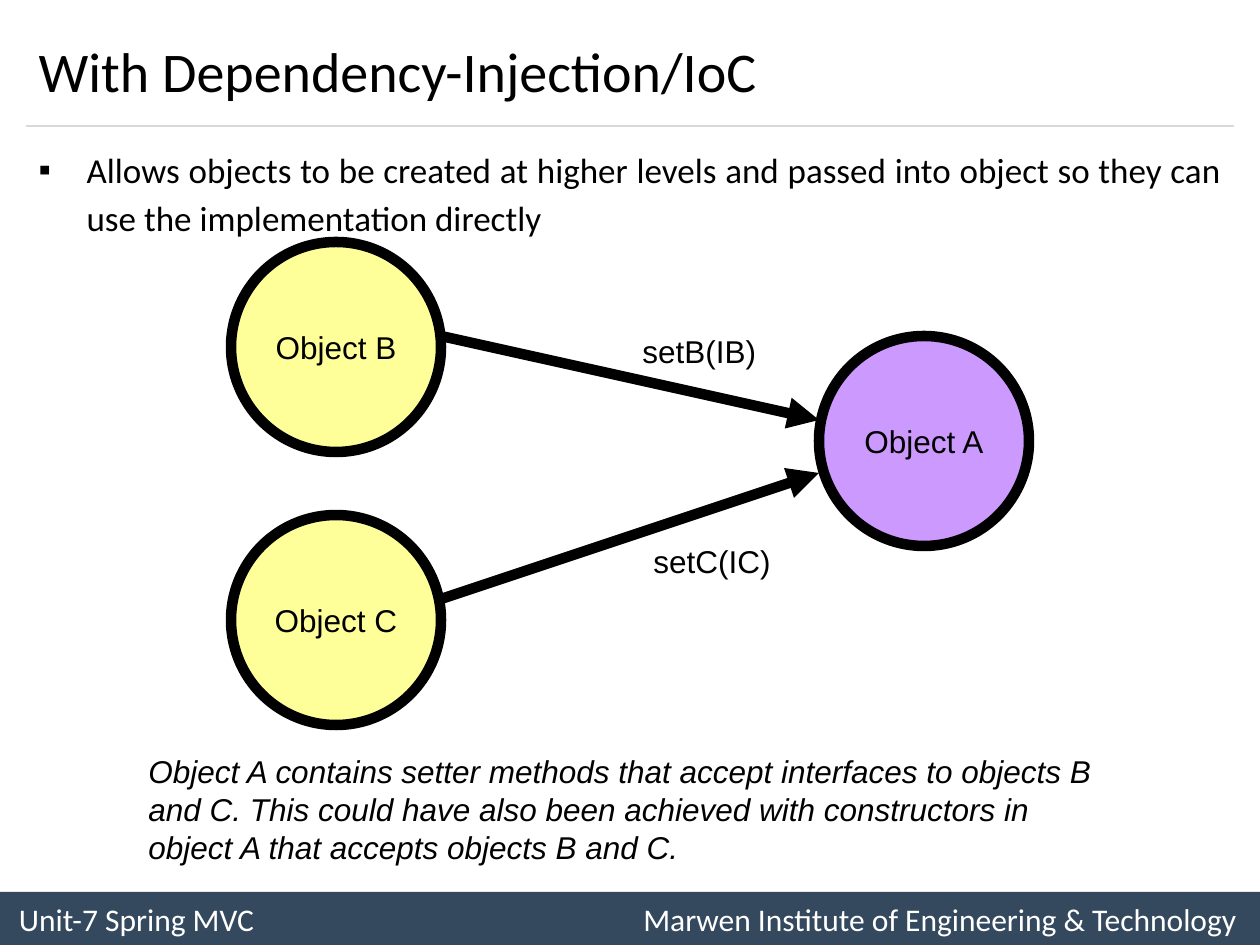
"""Builds the slide on dependency injection with setter methods."""
from lxml.etree import SubElement
from pptx import Presentation
from pptx.dml.color import RGBColor
from pptx.enum.shapes import MSO_CONNECTOR, MSO_SHAPE
from pptx.enum.text import MSO_ANCHOR, MSO_AUTO_SIZE, PP_ALIGN
from pptx.oxml.ns import qn
from pptx.util import Pt

BLACK = RGBColor(0x00, 0x00, 0x00)
WHITE = RGBColor(0xFF, 0xFF, 0xFF)
NAVY = RGBColor(0x34, 0x49, 0x5E)
GREY = RGBColor(0xD9, 0xD9, 0xD9)
YELLOW = RGBColor(0xFF, 0xFF, 0x99)
PURPLE = RGBColor(0xCC, 0x99, 0xFF)
SCALE = 914400 / 126
DIAMETER = 210


def px(*lengths):
    return [round(length * SCALE) for length in lengths]


def write(shape, text, font, size, color, align=PP_ALIGN.LEFT, anchor=MSO_ANCHOR.TOP, wrap=True):
    frame = shape.text_frame
    frame.auto_size = MSO_AUTO_SIZE.NONE
    frame.word_wrap = wrap
    frame.vertical_anchor = anchor
    paragraph = frame.paragraphs[0]
    paragraph.alignment = align
    run = paragraph.add_run()
    run.text = text
    run.font.name = font
    run.font.size = Pt(size)
    run.font.color.rgb = color
    return paragraph


deck = Presentation()
deck.slide_width, deck.slide_height = px(1260, 945)
slide = deck.slides.add_slide(deck.slide_layouts[1])
shapes = slide.shapes

title = shapes.title
title.left, title.top, title.width, title.height = px(26, 15, 1208, 111)
write(title, "With Dependency-Injection/IoC", "Calibri", 32, BLACK, anchor=MSO_ANCHOR.MIDDLE)

body = slide.placeholders[1]
body.left, body.top, body.width, body.height = px(26, 136, 1208, 735)
benefit = write(body, "Allows objects to be created at higher levels and passed into object "
                "so they can use the implementation directly", "Calibri", 20, BLACK, PP_ALIGN.JUSTIFY)
benefit.line_spacing = 1.14
benefit.space_before = Pt(4)
indent = px(48)[0]
benefit_format = benefit._p.get_or_add_pPr()
benefit_format.set("marL", str(indent))
benefit_format.set("indent", str(-indent))
SubElement(benefit_format, qn("a:buFont"), typeface="Arial")
SubElement(benefit_format, qn("a:buChar"), char="▪")

footer = shapes.add_shape(MSO_SHAPE.RECTANGLE, *px(0, 892, 1260, 53))
footer.shadow.inherit = False
footer.fill.solid()
footer.fill.fore_color.rgb = NAVY
footer.line.fill.background()
footer.text_frame.margin_left, footer.text_frame.margin_right = px(19, 13)
credits = write(footer, "Unit-7 Spring MVC\tMarwen Institute of Engineering & Technology",
                "Calibri", 18, WHITE, anchor=MSO_ANCHOR.MIDDLE)
tabs = SubElement(credits._p.get_or_add_pPr(), qn("a:tabLst"))
SubElement(tabs, qn("a:tab"), pos=str(px(1218)[0]), algn="r")

for start_x, start_y, end_x, end_y, color, width, arrow in [
    (26, 126, 1234, 126, GREY, 0.75, False),
    (441, 336, 819, 420, BLACK, 6, True),
    (441, 599, 819, 473, BLACK, 6, True),
]:
    link = shapes.add_connector(MSO_CONNECTOR.STRAIGHT, *px(start_x, start_y, end_x, end_y))
    link.line.color.rgb = color
    link.line.width = Pt(width)
    if arrow:
        SubElement(link.line._get_or_add_ln(), qn("a:tailEnd"), type="triangle")
    SubElement(link._element.spPr, qn("a:effectLst"))

for name, left, top, color in [
    ("Object A", 819, 336, PURPLE),
    ("Object B", 231, 242, YELLOW),
    ("Object C", 231, 515, YELLOW),
]:
    node = shapes.add_shape(MSO_SHAPE.OVAL, *px(left, top, DIAMETER, DIAMETER))
    node.shadow.inherit = False
    node.fill.solid()
    node.fill.fore_color.rgb = color
    node.line.color.rgb = BLACK
    node.line.width = Pt(6)
    write(node, name, "Arial", 18, BLACK, PP_ALIGN.CENTER, MSO_ANCHOR.MIDDLE, wrap=False)

for text, left, top, width, height, italic in [
    ("setB(IB)", 630, 326, 158, 50, False),
    ("setC(IC)", 641, 536, 158, 50, False),
    ("Object A contains setter methods that accept interfaces to objects B and C. "
     "This could have also been achieved with constructors in object A that accepts "
     "objects B and C.", 136, 746, 977, 126, True),
]:
    caption = shapes.add_textbox(*px(left, top, width, height))
    write(caption, text, "Arial", 18, BLACK).runs[0].font.italic = italic

deck.save("out.pptx")
